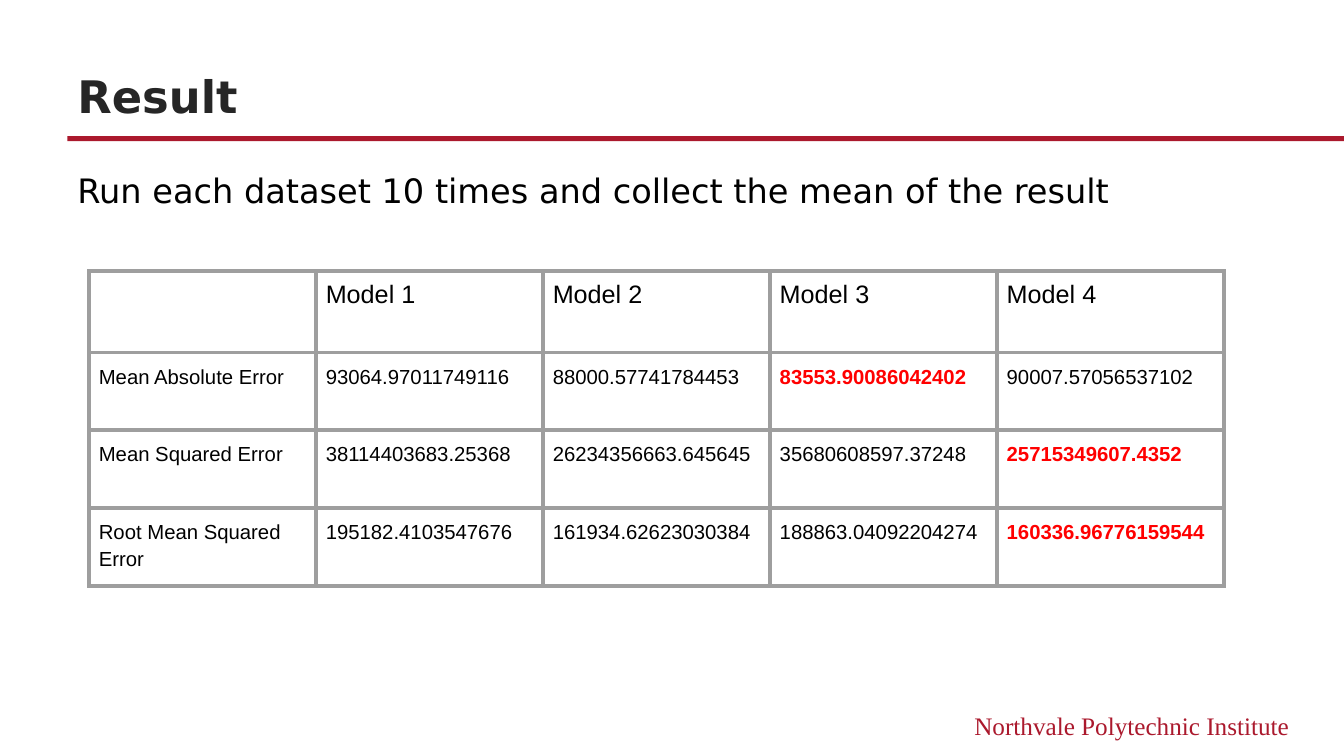
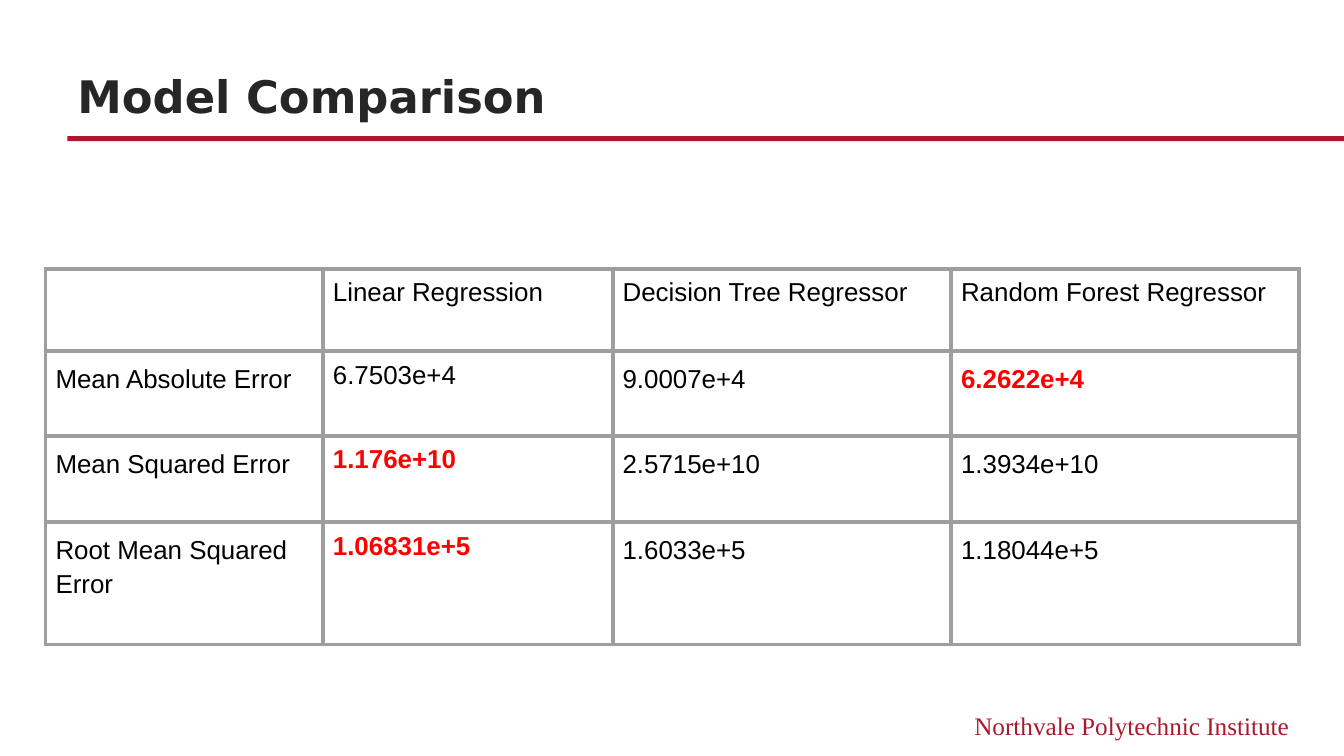
import pptx
import pptx.dml.color
import pptx.enum.shapes
import pptx.enum.text
import pptx.oxml
import pptx.oxml.ns
import pptx.util
from pptx.util import Cm

COLORS = {"accent": "AB192D", "title": "262626", "text": "000000",
          "best": "FF0000", "border": "9E9E9E", "background": "FFFFFF"}
HEAD_FONT = "DejaVu Sans"
TABLE_FONT = "Arial"
FOOTER_FONT = "Times New Roman"
FOOTER = "Northvale Polytechnic Institute"
SLIDE_W, SLIDE_H = 33.87, 19.05
LEFT, WIDTH = 1.7, 30.48
CELL_MARGIN = 0.25
BORDER_PT = 3

MODEL_ROWS = [
    ["", "Model 1", "Model 2", "Model 3", "Model 4"],
    ["Mean Absolute Error", "93064.97011749116", "88000.57741784453",
     "83553.90086042402", "90007.57056537102"],
    ["Mean Squared Error", "38114403683.25368", "26234356663.645645",
     "35680608597.37248", "25715349607.4352"],
    ["Root Mean Squared Error", "195182.4103547676", "161934.62623030384",
     "188863.04092204274", "160336.96776159544"],
]
REGRESSOR_ROWS = [
    ["", "Linear Regression", "Decision Tree Regressor", "Random Forest Regressor"],
    ["Mean Absolute Error", "6.7503e+4", "9.0007e+4", "6.2622e+4"],
    ["Mean Squared Error", "1.176e+10", "2.5715e+10", "1.3934e+10"],
    ["Root Mean Squared Error", "1.06831e+5", "1.6033e+5", "1.18044e+5"],
]


def rgb(name):
    """Return the named colour."""
    return pptx.dml.color.RGBColor.from_string(COLORS[name])


def style_paragraph(p, size, font, color, bold=False):
    """Format every run of a paragraph."""
    for r in p.runs:
        r.font.size = pptx.util.Pt(size)
        r.font.name = font
        r.font.bold = bold
        r.font.color.rgb = rgb(color)


def add_text(s, box, text, size, font, color, bold=False):
    """Add a wrapped one-paragraph text box and return its frame."""
    tf = s.shapes.add_textbox(*map(Cm, box)).text_frame
    tf.word_wrap = True
    tf.text = text
    style_paragraph(tf.paragraphs[0], size, font, color, bold)
    return tf


def add_base_slide(prs, title):
    """Add a slide with the shared rule, footer and title."""
    s = prs.slides.add_slide(prs.slide_layouts[6])
    s.background.fill.solid()
    s.background.fill.fore_color.rgb = rgb("background")
    rule = s.shapes.add_shape(pptx.enum.shapes.MSO_SHAPE.RECTANGLE,
                              Cm(LEFT), Cm(3.43), Cm(SLIDE_W - LEFT), Cm(0.13))
    rule.shadow.inherit = False
    rule.fill.solid()
    rule.fill.fore_color.rgb = rgb("accent")
    rule.line.fill.background()
    tf = add_text(s, (20.32, 17.78, 12.42, 1.02), FOOTER, 18, FOOTER_FONT, "accent")
    tf.auto_size = pptx.enum.text.MSO_AUTO_SIZE.SHAPE_TO_FIT_TEXT
    tf.paragraphs[0].alignment = pptx.enum.text.PP_ALIGN.RIGHT
    tf = add_text(s, (LEFT, 0.97, WIDTH, 2.24), title, 32, HEAD_FONT, "title", True)
    tf.vertical_anchor = pptx.enum.text.MSO_ANCHOR.BOTTOM
    return s


def add_borders(cell):
    """Draw the grey border on all four sides of a cell."""
    tc_pr = cell._tc.get_or_add_tcPr()
    for i, side in enumerate("LRTB"):
        tc_pr.insert(i, pptx.oxml.parse_xml(
            f'<a:ln{side} {pptx.oxml.ns.nsdecls("a")} w="{pptx.util.Pt(BORDER_PT)}">'
            f'<a:solidFill><a:srgbClr val="{COLORS["border"]}"/></a:solidFill>'
            f'</a:ln{side}>'))


def fill_cell(cell, text, size, color, bold, spacing):
    """Write and format one table cell."""
    cell.fill.background()
    add_borders(cell)
    cell.margin_left = cell.margin_right = Cm(CELL_MARGIN)
    cell.margin_top = cell.margin_bottom = Cm(CELL_MARGIN)
    cell.text_frame.text = text
    p = cell.text_frame.paragraphs[0]
    p.line_spacing = spacing
    style_paragraph(p, size, TABLE_FONT, color, bold)


def add_error_table(s, left, top, widths, heights, rows, head_size, body_size,
                    tight_cols=()):
    """Add a table of errors with the lowest value of each row in red."""
    table = s.shapes.add_table(len(rows), len(widths), Cm(left), Cm(top),
                               Cm(sum(widths)), Cm(sum(heights))).table
    table.first_row = table.horz_banding = False
    for column, width in zip(table.columns, widths):
        column.width = Cm(width)
    for i, (values, height) in enumerate(zip(rows, heights)):
        table.rows[i].height = Cm(height)
        best = min(values[1:], key=float) if i else None
        for j, value in enumerate(values):
            is_best = value == best
            fill_cell(table.cell(i, j), value, body_size if i else head_size,
                      "best" if is_best else "text", is_best,
                      1.15 if i and j not in tight_cols else 1.0)


def main():
    """Build and save the presentation."""
    prs = pptx.Presentation()
    prs.slide_width, prs.slide_height = Cm(SLIDE_W), Cm(SLIDE_H)

    s = add_base_slide(prs, "Result")
    tf = add_text(s, (LEFT, 4.24, WIDTH, 12.9),
                  "Run each dataset 10 times and collect the mean of the result",
                  24, HEAD_FONT, "text")
    tf.paragraphs[0].line_spacing = 0.95
    tf.paragraphs[0].space_before = pptx.util.Pt(12)
    add_error_table(s, 2.24, 6.83, [5.72] * 5, [2.05] + [1.96] * 3,
                    MODEL_ROWS, 18, 14.5)

    s = add_base_slide(prs, "Model Comparison")
    add_error_table(s, 1.15, 6.77, [6.99, 7.3, 8.53, 8.77], [2.08, 2.13, 2.18, 3.08],
                    REGRESSOR_ROWS, 18.5, 18.5, tight_cols=(1,))

    prs.save("out.pptx")


main()
